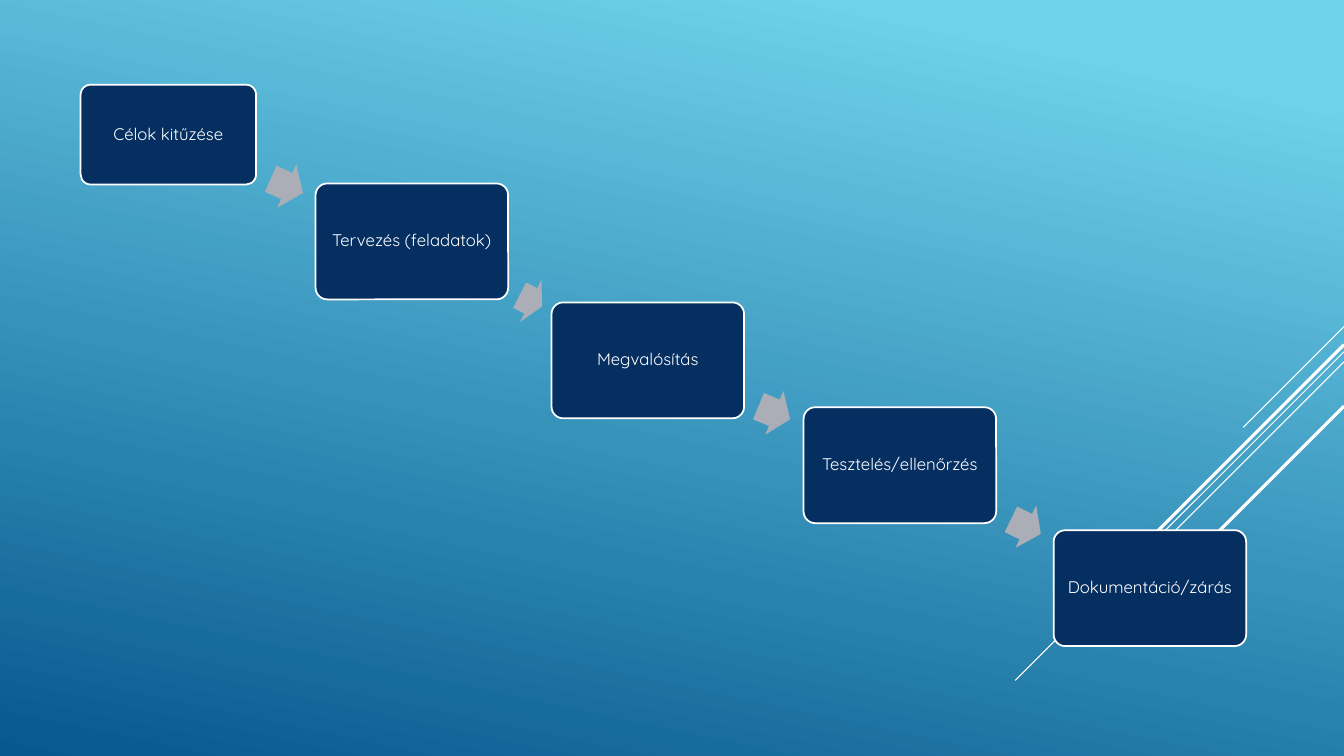
from lxml.etree import SubElement
from pptx import Presentation
from pptx.dml.color import RGBColor
from pptx.enum.shapes import MSO_CONNECTOR, MSO_SHAPE
from pptx.enum.text import MSO_ANCHOR, PP_ALIGN
from pptx.oxml.ns import qn
from pptx.util import Inches, Pt

HUES = {"sky": "6ED2EB", "sea": "06588E", "navy": "052F61",
        "gray": "ABADB7", "white": "FFFFFF"}
RAYS = [(3.24, 1, 0.75), (3.49, 3.26, 0.75), (3.59, 2.07, 0.75),
        (3.42, 1.91, 2.25), (4.03, 1.39, 2.25)]
STEPS = [("Célok kitűzése", 0.8, 0.84, 1.74, 0.99),
         ("Tervezés (feladatok)", 3.13, 1.82, 1.91, 1.15),
         ("Megvalósítás", 5.47, 3, 1.91, 1.15),
         ("Tesztelés/ellenőrzés", 7.97, 4.04, 1.91, 1.15),
         ("Dokumentáció/zárás", 10.45, 5.26, 1.91, 1.15)]
ARROWS = [(2.67, 1.61, 0.35, 23.7), (5.14, 2.75, 0.25, 26.9),
          (7.51, 3.86, 0.34, 22.5), (10.01, 4.99, 0.33, 26)]
WIDTH = 13.33


class Painter:
    """Draws the styled parts of a process slide."""

    def __init__(self, slide):
        self.slide = slide
        self.font = "Quicksand"
        self.size = Pt(12)

    def hue(self, name):
        return RGBColor.from_string(HUES[name])

    def backdrop(self):
        fill = self.slide.background.fill
        fill.gradient()
        fill.gradient_angle = 258
        for stop, place, name in zip(fill.gradient_stops, (0.1, 1), ("sky", "sea")):
            stop.position = place
            stop.color.rgb = self.hue(name)

    def ray(self, top, span, weight):
        line = self.slide.shapes.add_connector(
            MSO_CONNECTOR.STRAIGHT, Inches(WIDTH), Inches(top),
            Inches(WIDTH - span), Inches(top + span))
        line.line.color.rgb = self.hue("white")
        line.line.width = Pt(weight)
        SubElement(line._element.spPr, qn("a:effectLst"))

    def shape(self, kind, box, name):
        shape = self.slide.shapes.add_shape(kind, *map(Inches, box))
        shape.shadow.inherit = False
        shape.fill.solid()
        shape.fill.fore_color.rgb = self.hue(name)
        return shape

    def step(self, text, *box):
        card = self.shape(MSO_SHAPE.ROUNDED_RECTANGLE, box, "navy")
        card.adjustments[0] = 0.1
        card.line.color.rgb = self.hue("white")
        card.line.width = Pt(1.25)
        frame = card.text_frame
        frame.text = text
        frame.word_wrap = True
        frame.vertical_anchor = MSO_ANCHOR.MIDDLE
        frame.margin_left = frame.margin_right = Inches(0.05)
        frame.margin_top = frame.margin_bottom = Inches(0.05)
        para = frame.paragraphs[0]
        para.alignment = PP_ALIGN.CENTER
        para.line_spacing = 0.9
        font = para.runs[0].font
        font.name, font.size = self.font, self.size
        font.color.rgb = self.hue("white")

    def arrow(self, left, top, width, turn):
        arrow = self.shape(MSO_SHAPE.RIGHT_ARROW, (left, top, width, 0.47), "gray")
        arrow.adjustments[0] = 0.6
        arrow.adjustments[1] = 0.5
        arrow.rotation = turn
        arrow.line.fill.background()


def main():
    deck = Presentation()
    deck.slide_width, deck.slide_height = Inches(WIDTH), Inches(7.5)
    painter = Painter(deck.slides.add_slide(deck.slide_layouts[6]))
    painter.backdrop()
    for ray in RAYS:
        painter.ray(*ray)
    for step in STEPS:
        painter.step(*step)
    for arrow in ARROWS:
        painter.arrow(*arrow)
    deck.save("out.pptx")


if __name__ == "__main__":
    main()
